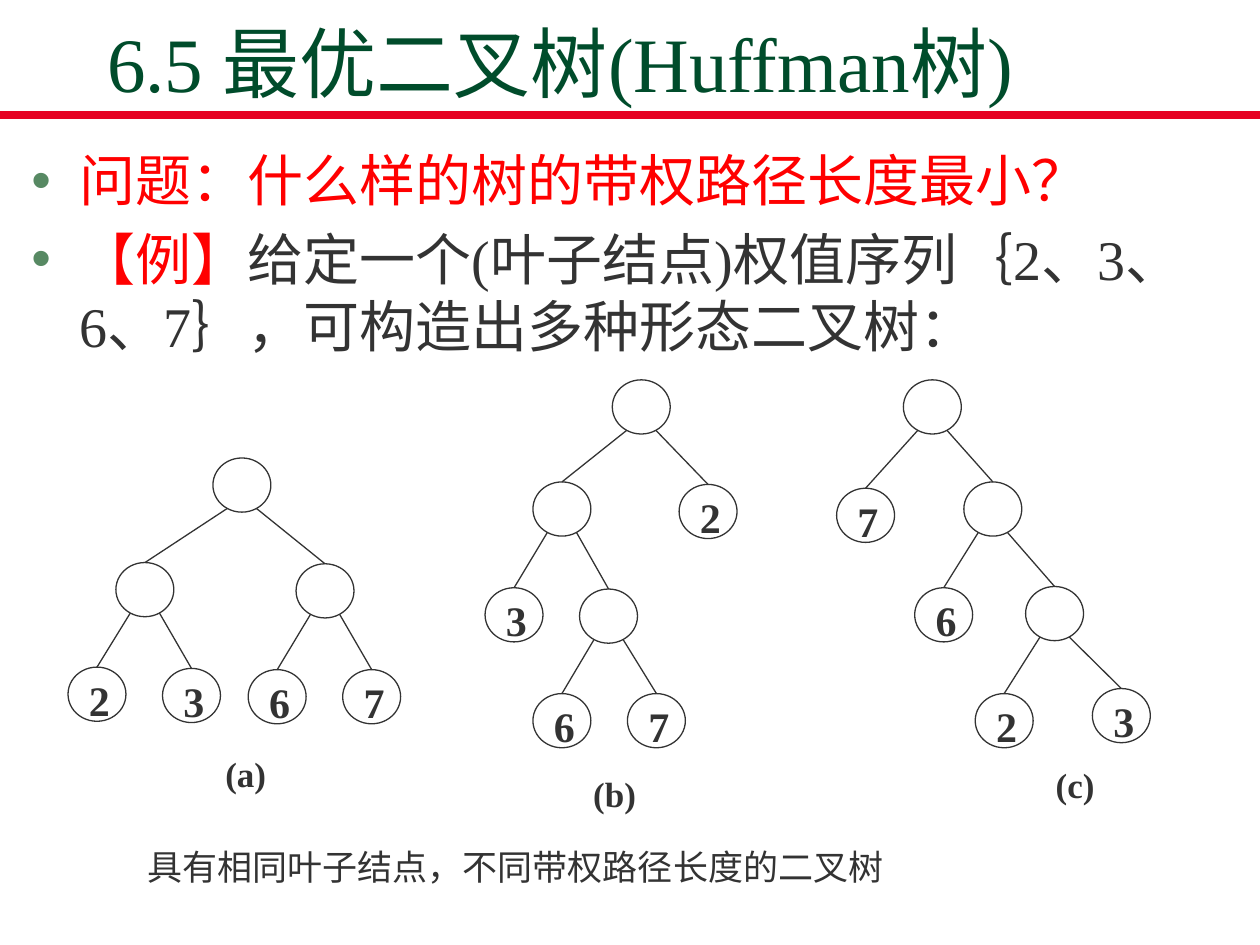
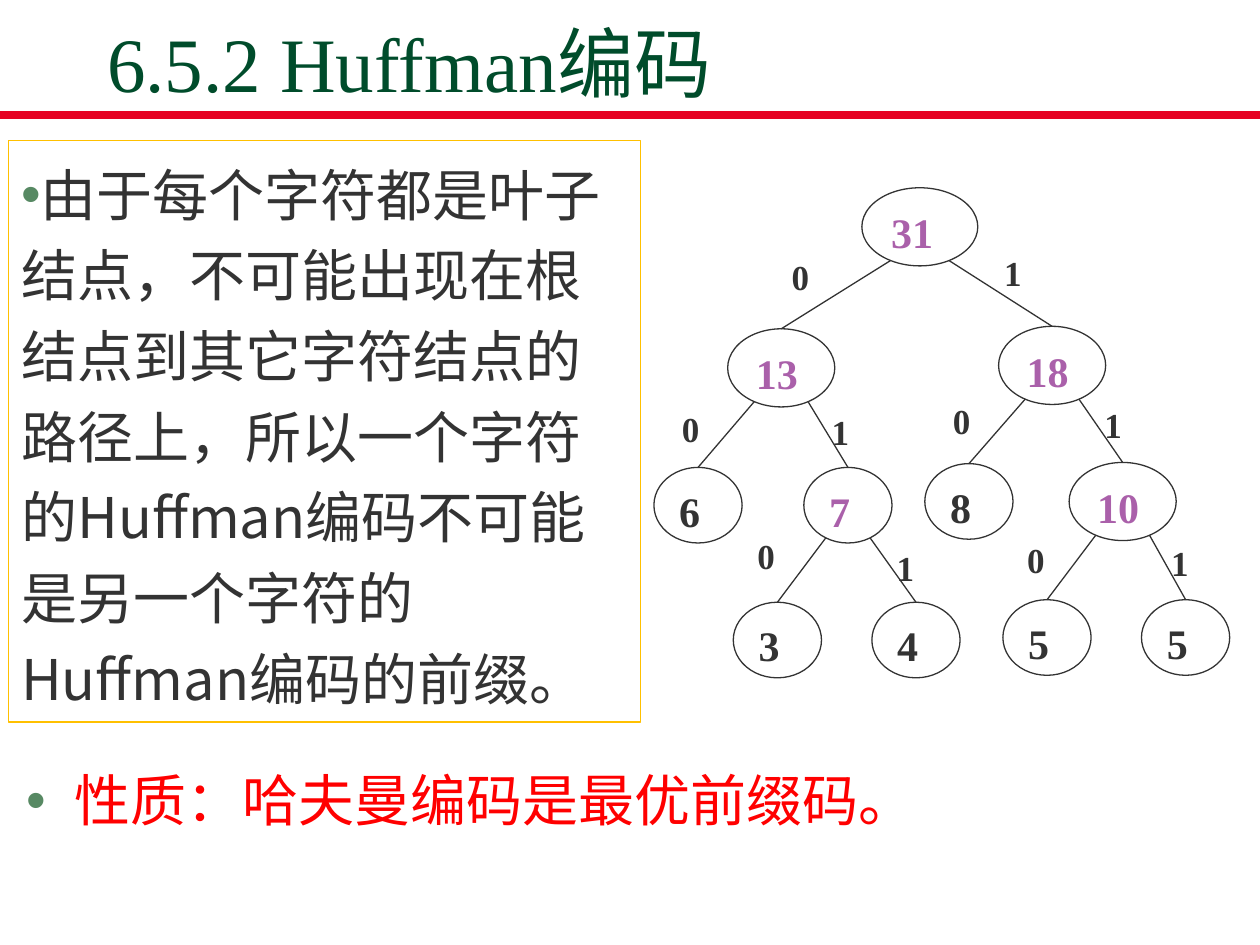
from dataclasses import dataclass

from lxml import etree
from pptx import Presentation
from pptx import util as u
from pptx.dml.color import RGBColor
from pptx.enum import shapes, text
from pptx.oxml.ns import qn


@dataclass(frozen=True)
class Theme:
    serif: str = "Times New Roman"
    sans: str = "Noto Sans CJK SC"
    green: str = "004C2B"
    dot: str = "578963"
    band: str = "E60223"
    red: str = "FF0000"
    ink: str = "333333"
    plum: str = "AA60AA"
    gold: str = "FFC000"
    head: int = 44
    body: int = 32
    node: int = 24
    note: int = 20
    thin: float = 0.75
    thick: float = 4.5


T = Theme()


@dataclass(frozen=True)
class Node:
    """Tree node: centre in grid cells, label, children, size, lift of edge tag."""
    x: float
    y: float
    label: str = ""
    kids: tuple = ()
    size: tuple = (4.6, 4.3)
    lift: float = 1


def grid(*cells):
    """Turn cells of a 100 by 75 grid into lengths."""
    return [u.Inches(cell / 10) for cell in cells]


def rgb(code):
    return RGBColor.from_string(code)


# Text
def style(font, size, color, name=T.serif, bold=False):
    font.size, font.name, font.bold = u.Pt(size), name, bold
    font.color.rgb = rgb(color)


def bullet(para, indent=0):
    props = para._p.get_or_add_pPr()
    props.set("marL", str(u.Inches(indent)))
    props.set("indent", str(-u.Inches(indent)))
    tint = etree.SubElement(props, qn("a:buClr"))
    etree.SubElement(tint, qn("a:srgbClr"), val=T.dot)
    etree.SubElement(props, qn("a:buFont"), typeface="Arial")
    etree.SubElement(props, qn("a:buChar"), char="•")


def label(frame, words, size, color=T.ink, bold=True):
    """One unwrapped line, left-aligned and centred in height."""
    frame.word_wrap = False
    frame.vertical_anchor = text.MSO_ANCHOR.MIDDLE
    para = frame.paragraphs[0]
    para.text, para.line_spacing = words, 1.2
    para.alignment = text.PP_ALIGN.LEFT
    style(para.font, size, color, bold=bold)


def note(slide, box, words, bold=True):
    label(slide.shapes.add_textbox(*grid(*box)).text_frame, words, T.note, bold=bold)


def points(slide, box, items):
    """Bulleted list; each item is a list of (words, colour) runs."""
    frame = slide.shapes.add_textbox(*grid(*box)).text_frame
    frame.word_wrap = True
    for i, runs in enumerate(items):
        para = frame.add_paragraph() if i else frame.paragraphs[0]
        bullet(para, 0.38)
        if i:
            para.space_before = u.Pt(T.body * 0.2)
        style(para.font, T.body, runs[0][1])
        for words, color in runs:
            run = para.add_run()
            run.text = words
            if len(runs) > 1:
                run.font.color.rgb = rgb(color)


# Shapes and lines
def outline(slide, kind, box, color):
    shape = slide.shapes.add_shape(kind, *grid(*box))
    shape.shadow.inherit = False
    shape.fill.background()
    shape.line.color.rgb, shape.line.width = rgb(color), u.Pt(T.thin)
    return shape


def line(slide, ends, color=T.ink, width=T.thin):
    link = slide.shapes.add_connector(shapes.MSO_CONNECTOR.STRAIGHT, *grid(*ends))
    link.line.color.rgb, link.line.width = rgb(color), u.Pt(width)
    etree.SubElement(link._element.spPr, qn("a:effectLst"))


def panel(slide, box, words):
    frame = outline(slide, shapes.MSO_SHAPE.RECTANGLE, box, T.gold).text_frame
    frame.word_wrap = True
    frame.vertical_anchor = text.MSO_ANCHOR.TOP
    para = frame.paragraphs[0]
    bullet(para)
    para.text, para.line_spacing = words, 1.2
    para.alignment = text.PP_ALIGN.LEFT
    style(para.font, T.body, T.ink, T.sans)


# Trees
def tree(slide, node, code=False):
    """Draw a node and its subtree; code adds 0/1 edge tags and tinted sums."""
    wide, high = node.size
    oval = outline(slide, shapes.MSO_SHAPE.OVAL,
                   (node.x - wide / 2, node.y - high / 2, wide, high), T.ink)
    if node.label:
        tint = T.plum if code and node.kids else T.ink
        label(oval.text_frame, node.label, T.node, tint)
    for bit, kid in enumerate(node.kids):
        side = 2 * bit - 1
        x, y = node.x + side * wide / 4, node.y + high * 0.43
        top = kid.y - kid.size[1] / 2
        line(slide, (x, y, kid.x, top))
        if code:
            tag = ((x + kid.x) / 2 + side * 1.9, (y + top) / 2 - kid.lift)
            note(slide, (tag[0] - 2.6, tag[1] - 2.45, 5.2, 4.9), str(bit))
        tree(slide, kid, code)


def leaf(x, y, words, lift):
    return Node(x, y, words, size=(7, 6), lift=lift)


def total(x, y, words, kids, lift=1.0, size=(8.5, 6.2)):
    return Node(x, y, words, kids, size, lift)


# Slide frame
def page(deck, words):
    slide = deck.slides.add_slide(deck.slide_layouts[5])
    line(slide, (0, 9.15, 100, 9.15), T.band, T.thick)
    title = slide.shapes.title
    title.left, title.top, title.width, title.height = grid(7.5, 2.6, 85, 6.5)
    frame = title.text_frame
    frame.auto_size = text.MSO_AUTO_SIZE.NONE
    frame.vertical_anchor = text.MSO_ANCHOR.BOTTOM
    para = frame.paragraphs[0]
    para.text, para.alignment = words, text.PP_ALIGN.LEFT
    style(para.font, T.head, T.green)
    return slide


def shapes_page(deck):
    slide = page(deck, "6.5 最优二叉树(Huffman树)")
    points(slide, (1.5, 11.1, 97.6, 18.3), [
        [("问题：什么样的树的带权路径长度最小？", T.red)],
        [("【例】", T.red),
         ("给定一个(叶子结点)权值序列｛2、3、6、7｝，可构造出多种形态二叉树：", T.ink)],
    ])
    even = Node(19.2, 38.5, kids=(
        Node(11.5, 46.8, kids=(Node(7.7, 55.1, "2"), Node(15.2, 55.2, "3"))),
        Node(25.8, 46.9, kids=(Node(22, 55.3, "6"), Node(29.5, 55.3, "7")))))
    bent = Node(50.9, 32.3, kids=(
        Node(44.6, 40.4, kids=(
            Node(40.8, 48.8, "3"),
            Node(48.3, 48.9, kids=(Node(44.6, 57.2, "6"), Node(52.1, 57.2, "7"))))),
        Node(56.2, 40.6, "2")))
    steep = Node(74, 32.3, kids=(
        Node(68.7, 40.9, "7"),
        Node(78.8, 40.4, kids=(
            Node(74.9, 48.8, "6"),
            Node(83.7, 48.7, kids=(Node(79.7, 57.2, "2"), Node(89, 56.8, "3")))))))
    for root, name, x, y in ((even, "(a)", 16.9, 59.1), (bent, "(b)", 46.1, 60.7),
                             (steep, "(c)", 82.8, 60)):
        tree(slide, root)
        note(slide, (x, y, 7, 3.9), name)
    note(slide, (10.7, 66.3, 75.3, 4.3),
         "具有相同叶子结点，不同带权路径长度的二叉树", bold=False)


def code_page(deck):
    slide = page(deck, "6.5.2 Huffman编码")
    seven = Node(67.3, 40.1, "7", (leaf(61.7, 50.8, "3", 1.5), leaf(72.7, 50.8, "4", 0.5)),
                 (7, 6), 0.6)
    ten = total(89.1, 39.8, "10", (leaf(83.1, 50.6, "5", 1), leaf(94.1, 50.6, "5", 0.7)), 0.8)
    left = total(62, 29.2, "13", (leaf(55.4, 40.1, "6", 0.8), seven), 1.8)
    right = total(83.5, 29, "18", (leaf(76.9, 39.8, "8", 1.2), ten), 2)
    tree(slide, total(73, 18, "31", (left, right), size=(9.2, 6.2)), code=True)
    panel(slide, (0.7, 11.15, 50.15, 46.15),
          "由于每个字符都是叶子结点，不可能出现在根结点到其它字符结点的路径上，"
          "所以一个字符的Huffman编码不可能是另一个字符的Huffman编码的前缀。")
    points(slide, (1.1, 60.3, 97.2, 6.7), [[("性质：哈夫曼编码是最优前缀码。", T.red)]])


def main():
    deck = Presentation()
    deck.slide_width, deck.slide_height = grid(100, 75)
    shapes_page(deck)
    code_page(deck)
    deck.save("out.pptx")


if __name__ == "__main__":
    main()
